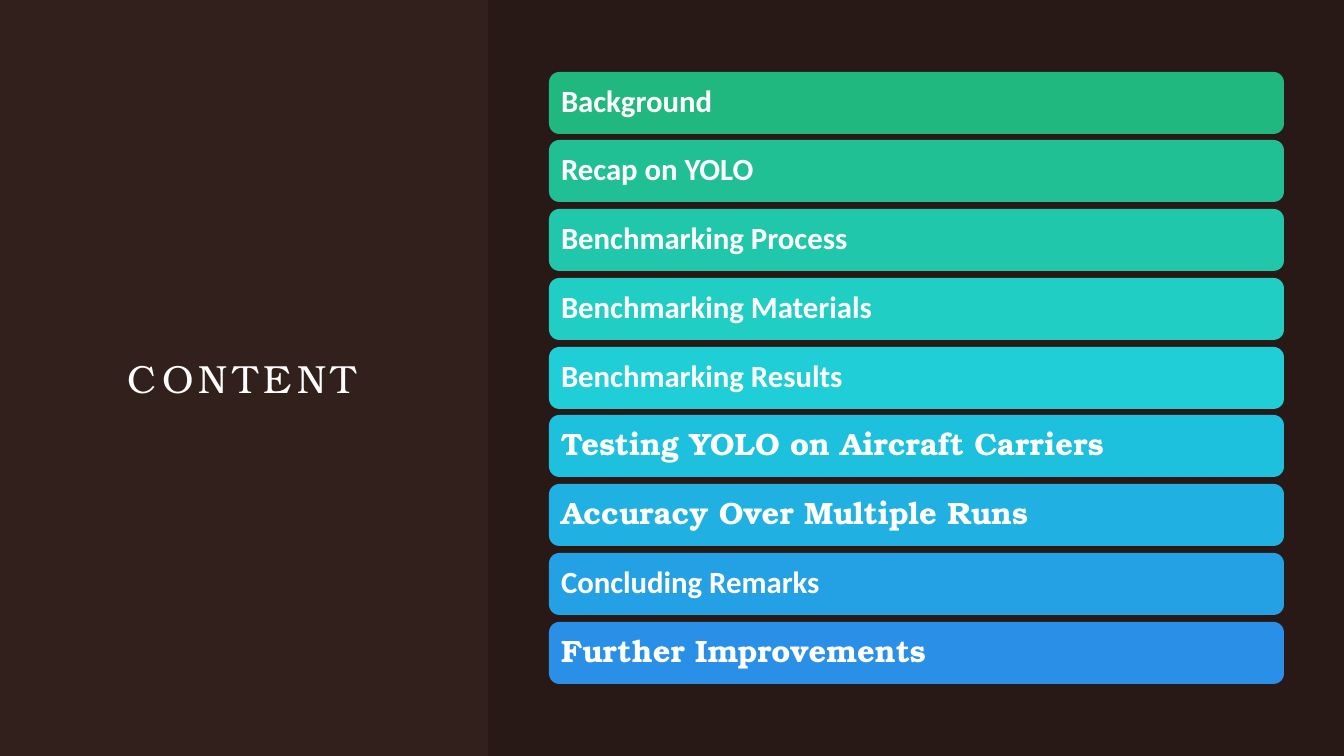
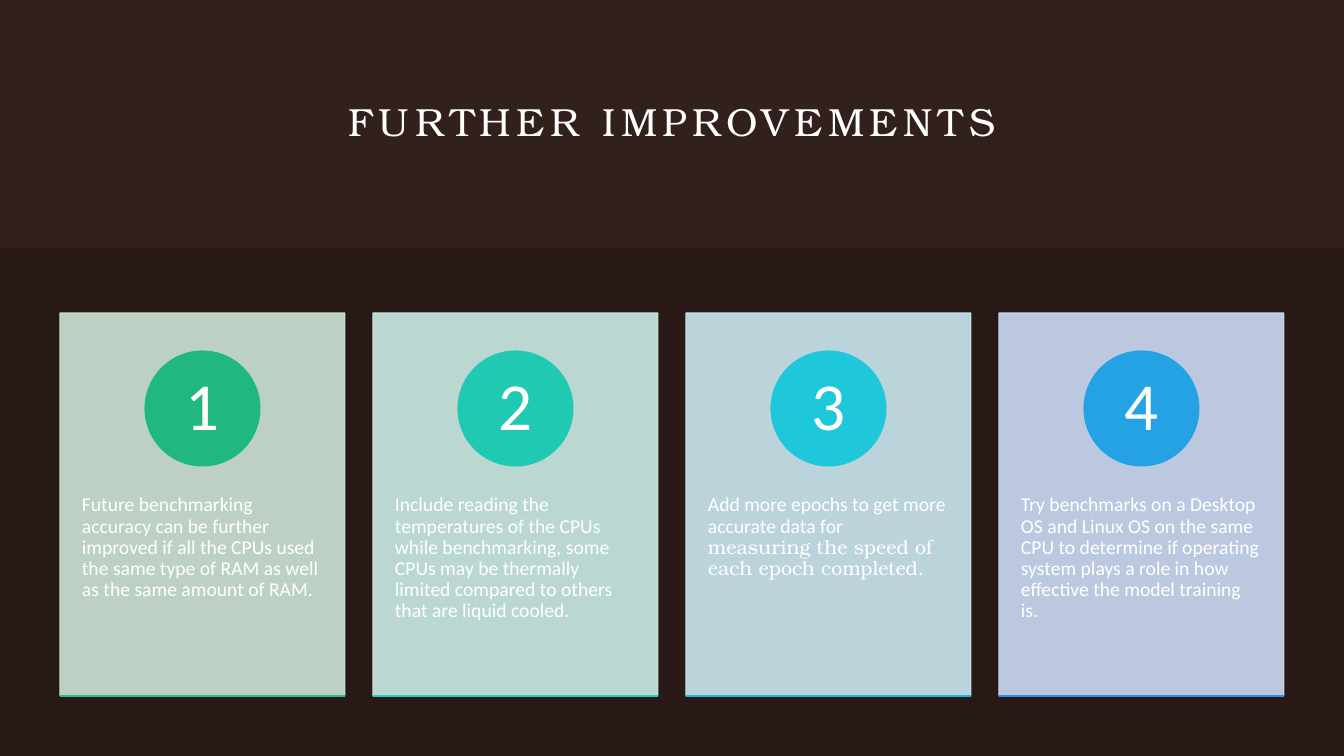
"""Build the content list and the further improvements slide."""
import lxml.etree
import pptx
import pptx.dml.color
import pptx.enum.shapes
import pptx.enum.text
import pptx.oxml.ns
import pptx.util

PX = 9144 / 1.008
SHAPE = pptx.enum.shapes.MSO_SHAPE
ALIGN = pptx.enum.text.PP_ALIGN
ANCHOR = pptx.enum.text.MSO_ANCHOR
rgb = pptx.dml.color.RGBColor.from_string
qn = pptx.oxml.ns.qn

BACKGROUND = "32201C"
PANEL = "000000"
WHITE = "FFFFFF"
SERIF = "TeX Gyre Bonum"
SANS = "Calibri"


def add_block(slide, kind, box, fill, opacity=100, outlined=False):
    shape = slide.shapes.add_shape(kind, *[round(length * PX) for length in box])
    shape.shadow.inherit = False
    shape.fill.solid()
    shape.fill.fore_color.rgb = rgb(fill)
    if outlined:
        shape.line.color.rgb = rgb(fill)
        shape.line.width = pptx.util.Pt(0.75)
    else:
        shape.line.fill.background()
    if opacity < 100:
        for colour in shape._element.spPr.xpath(".//a:srgbClr"):
            lxml.etree.SubElement(colour, qn("a:alpha"), val=str(opacity * 1000))
    return shape


def write(shape, runs, size, align=ALIGN.LEFT, anchor=ANCHOR.MIDDLE,
          insets=(0, 0), bold=False, line_spacing=0.9, tracking=0):
    frame = shape.text_frame
    frame.word_wrap = True
    frame.auto_size = pptx.enum.text.MSO_AUTO_SIZE.NONE
    frame.vertical_anchor = anchor
    frame.margin_left = frame.margin_right = round(insets[0] * PX)
    frame.margin_top = frame.margin_bottom = round(insets[1] * PX)
    paragraph = frame.paragraphs[0]
    paragraph.alignment = align
    paragraph.line_spacing = line_spacing
    for text, font_name in runs:
        run = paragraph.add_run()
        run.text = text
        run.font.name = font_name
        run.font.size = pptx.util.Pt(size)
        run.font.bold = bold
        run.font.color.rgb = rgb(WHITE)
        if tracking:
            run.font._element.set("spc", str(tracking * 100))


deck = pptx.Presentation()
deck.slide_width = round(1344 * PX)
deck.slide_height = round(756 * PX)
master_fill = deck.slide_master.background.fill
master_fill.solid()
master_fill.fore_color.rgb = rgb(BACKGROUND)

openings = [
    ("CONTENT", (59, 119, 366, 517), (488, 0, 856, 756)),
    ("FURTHER IMPROVEMENTS", (119, 59, 1106, 124), (0, 248, 1344, 508)),
]
slides = []
for heading, heading_box, panel_box in openings:
    slide = deck.slides.add_slide(deck.slide_layouts[5])
    title = slide.shapes.title
    title.left, title.top, title.width, title.height = [
        round(length * PX) for length in heading_box]
    write(title, [(heading, SERIF)], 28, ALIGN.CENTER, line_spacing=1.0, tracking=4)
    add_block(slide, SHAPE.RECTANGLE, panel_box, PANEL, opacity=20)
    slides.append(slide)
content_slide, improvements_slide = slides

topics = [
    ("Background", SANS, "21B87F"),
    ("Recap on YOLO", SANS, "21BF94"),
    ("Benchmarking Process", SANS, "20C7AB"),
    ("Benchmarking Materials", SANS, "20CEC3"),
    ("Benchmarking Results", SANS, "1FCED6"),
    ("Testing YOLO on Aircraft Carriers", SERIF, "1EC1DD"),
    ("Accuracy Over Multiple Runs", SERIF, "20B1E2"),
    ("Concluding Remarks", SANS, "24A0E5"),
    ("Further Improvements", SERIF, "298FE7"),
]
for index, (topic, font_name, colour) in enumerate(topics):
    topic_top = 72 + 550 * index // (len(topics) - 1)
    bar = add_block(content_slide, SHAPE.ROUNDED_RECTANGLE,
                    (549, topic_top, 735, 62), colour)
    write(bar, [(topic, font_name)], 22, insets=(9, 6), bold=True)

improvements = [
    ("CDE6D8", "21B87F", "21C097",
     [("Future benchmarking accuracy can be further improved if all the CPUs "
       "used the same type of RAM as well as the same amount of RAM.", SANS)]),
    ("CCECE7", "20C9B2", "1FD1CE",
     [("Include reading the temperatures of the CPUs while benchmarking, some "
       "CPUs may be thermally limited compared to others that are liquid cooled.",
       SANS)]),
    ("CCE8F1", "1FC7DA", "1FB6E2",
     [("Add more epochs to get more accurate data for ", SANS),
      ("measuring the speed of each epoch completed.", SERIF)]),
    ("CDDCF6", "24A2E4", "298FE7",
     [("Try benchmarks on a Desktop OS and Linux OS on the same CPU to determine "
       "if operating system plays a role in how effective the model training is.",
       SANS)]),
]
for index, (card_colour, badge_colour, rule_colour, advice) in enumerate(improvements):
    card_left = 60 + 313 * index
    add_block(improvements_slide, SHAPE.RECTANGLE, (card_left, 313, 285, 383),
              card_colour, opacity=90, outlined=True)

    advice_box = improvements_slide.shapes.add_textbox(
        *[round(length * PX) for length in (card_left, 459, 285, 230)])
    write(advice_box, advice, 14, anchor=ANCHOR.TOP, insets=(22, 36))

    badge = add_block(improvements_slide, SHAPE.OVAL, (card_left + 85, 351, 115, 115),
                      badge_colour, outlined=True)
    write(badge, [(str(index + 1), SANS)], 48, ALIGN.CENTER, insets=(9, 1))

    rule = improvements_slide.shapes.add_connector(
        pptx.enum.shapes.MSO_CONNECTOR.STRAIGHT,
        *[round(length * PX) for length in (card_left, 696, card_left + 285, 696)])
    rule.line.color.rgb = rgb(rule_colour)
    rule.line.width = pptx.util.Pt(0.75)
    lxml.etree.SubElement(rule._element.spPr, qn("a:effectLst"))

deck.save("out.pptx")
